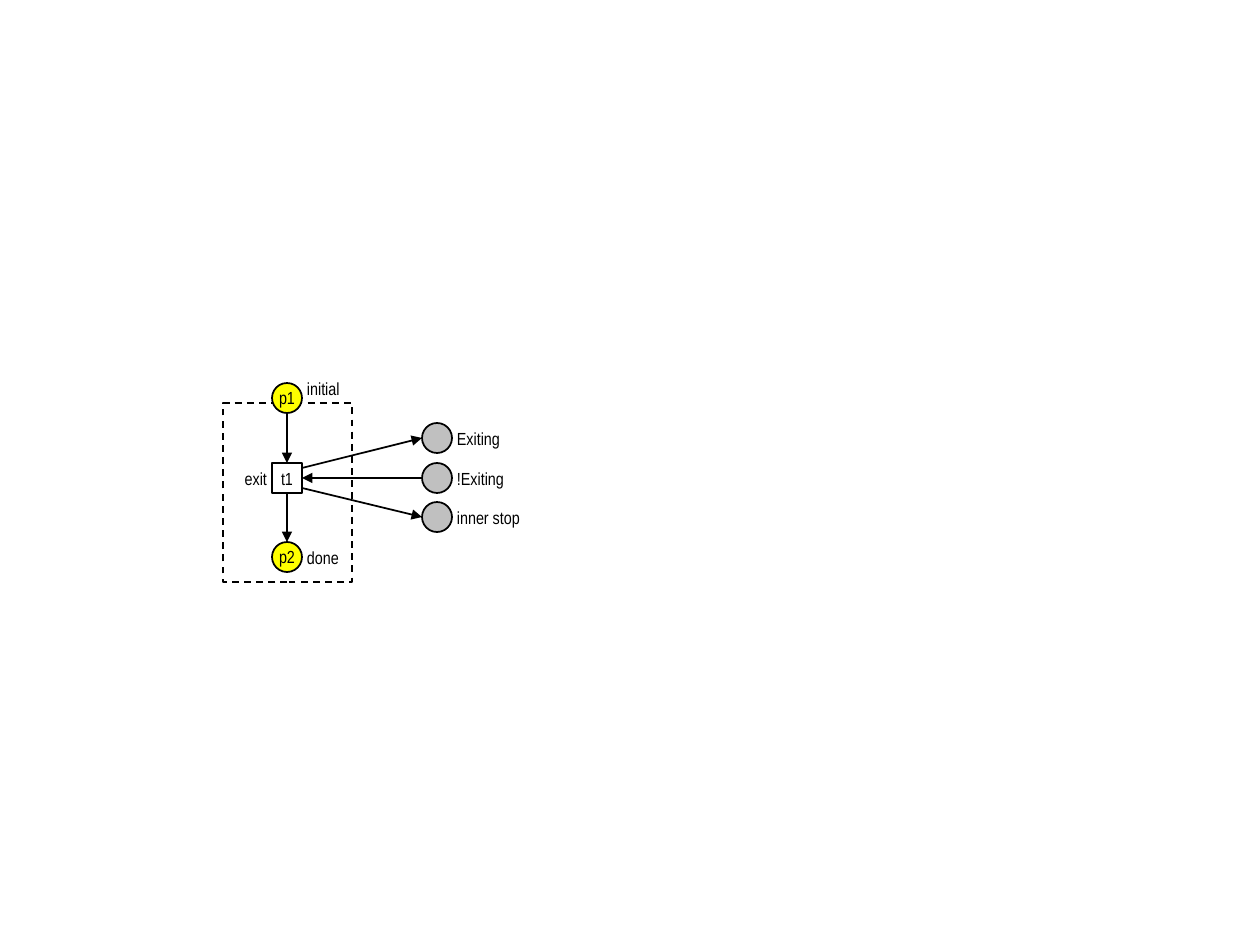
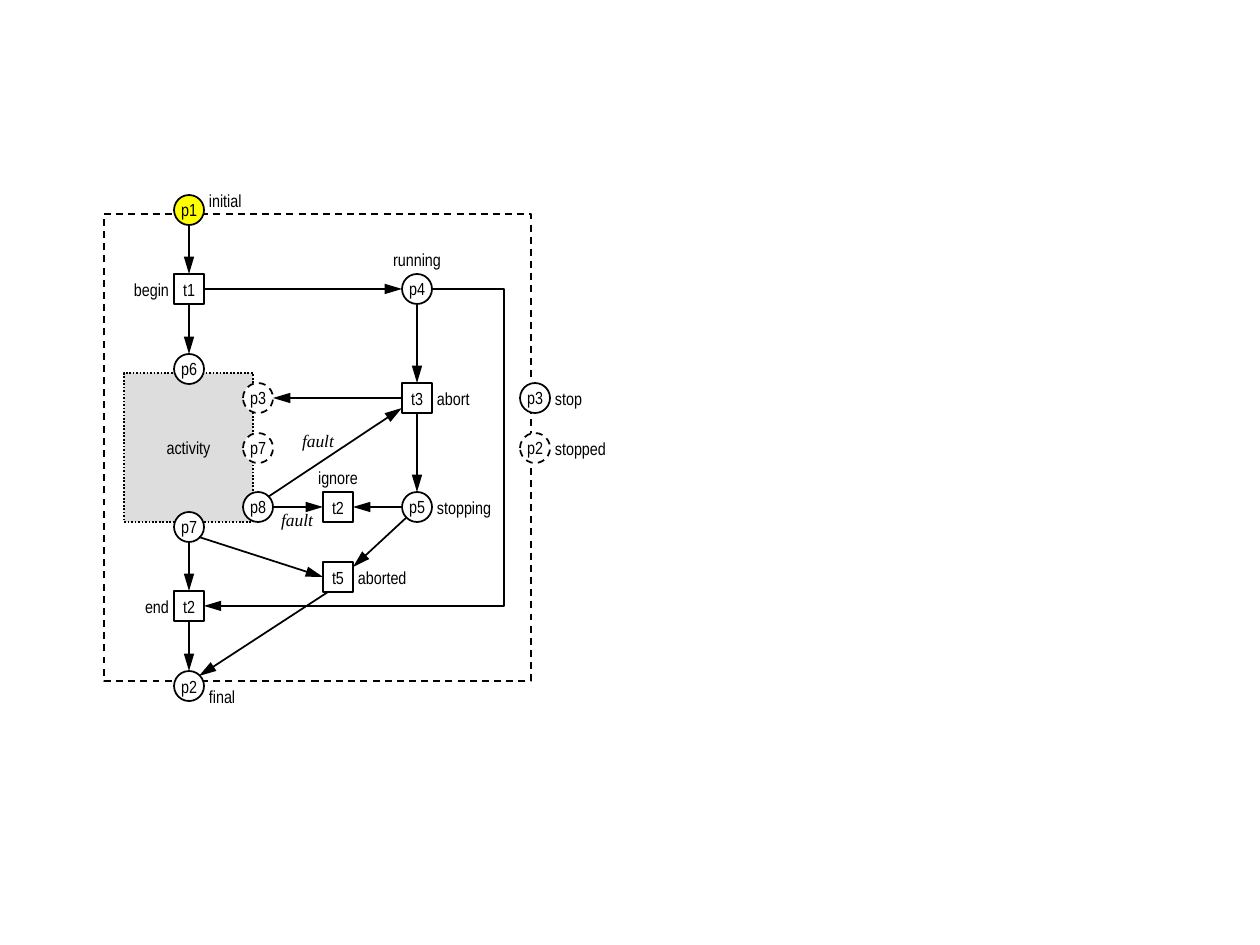
from dataclasses import dataclass

from lxml import etree
from pptx import Presentation
from pptx import util as u
from pptx.dml.color import RGBColor
from pptx.enum import dml, shapes, text
from pptx.oxml import ns

PX = 914400 / 126
NODE = 30
HALF = NODE // 2
LABEL_WIDTH = 39
LABEL_INSET = 5


@dataclass(frozen=True)
class Theme:
    ink: str = "000000"
    place: str = "FFFFFF"
    marked: str = "FFFF00"
    outer: str = "C0C0C0"
    activity: str = "DDDDDD"
    font: str = "Arial Narrow"
    condition_font: str = "Times New Roman"
    size: int = 10
    line: int = 1


THEME = Theme()
DASH = dml.MSO_LINE.DASH
DOT = dml.MSO_LINE.ROUND_DOT
RECT = shapes.MSO_SHAPE.RECTANGLE
OVAL = shapes.MSO_SHAPE.OVAL
LEFT, CENTER, RIGHT = text.PP_ALIGN.LEFT, text.PP_ALIGN.CENTER, text.PP_ALIGN.RIGHT

STYLES = {
    "place": (OVAL, THEME.place, None),
    "marked": (OVAL, THEME.marked, None),
    "outer": (OVAL, THEME.outer, None),
    "virtual": (OVAL, THEME.place, DASH),
    "transition": (RECT, THEME.place, None),
}
ANCHORS = {
    "top": (0, -HALF), "bottom": (0, HALF), "left": (-HALF, 0), "right": (HALF, 0),
    "north-east": (10, -10), "south-east": (10, 10), "south-west": (-10, 10),
    "right high": (HALF, -10), "right low": (HALF, 10),
    "left low": (-HALF, 10), "bottom left": (-10, HALF),
}
LABEL_SIDES = {
    "right": (HALF, -HALF, LABEL_WIDTH, LEFT),
    "upper right": (HALF, -HALF - 10, LABEL_WIDTH, LEFT),
    "lower right": (HALF, -HALF + 10, LABEL_WIDTH, LEFT),
    "left": (-HALF - LABEL_WIDTH, -HALF, LABEL_WIDTH, RIGHT),
    "above": (-HALF, -HALF - NODE, NODE, CENTER),
}

EXIT_X, OUTER_X = 287, 437
FLOW_X, PORT_X, FAULT_X, ABORT_X, STOP_X = 189, 258, 338, 417, 535

DIAGRAMS = [
    {
        "arrow_length": "med",
        "frames": [("", (223, 403, 129, 179), None, DASH)],
        "nodes": {
            "initial": ("p1", "marked", EXIT_X, 398, "initial", "upper right"),
            "exit": ("t1", "transition", EXIT_X, 478, "exit", "left"),
            "done": ("p2", "marked", EXIT_X, 557, "done", "right"),
            "exiting": ("", "outer", OUTER_X, 438, "Exiting", "right"),
            "not exiting": ("", "outer", OUTER_X, 478, "!Exiting", "right"),
            "inner stop": ("", "outer", OUTER_X, 517, "inner stop", "right"),
        },
        "arrows": [
            ("initial", "bottom", "exit", "top"),
            ("exit", "bottom", "done", "top"),
            ("exit", "right high", "exiting", "left"),
            ("not exiting", "left", "exit", "right"),
            ("exit", "right low", "inner stop", "left"),
        ],
        "elbows": [],
        "conditions": [],
    },
    {
        "arrow_length": "lg",
        "frames": [
            ("", (104, 214, 427, 467), None, DASH),
            ("activity", (124, 373, 129, 149), THEME.activity, DOT),
        ],
        "nodes": {
            "initial": ("p1", "marked", FLOW_X, 210, "initial", "upper right"),
            "begin": ("t1", "transition", FLOW_X, 289, "begin", "left"),
            "entry": ("p6", "place", FLOW_X, 369, "", ""),
            "leave": ("p7", "place", FLOW_X, 527, "", ""),
            "end": ("t2", "transition", FLOW_X, 606, "end", "left"),
            "final": ("p2", "place", FLOW_X, 686, "final", "lower right"),
            "inner stop": ("p3", "virtual", PORT_X, 398, "", ""),
            "inner stopped": ("p7", "virtual", PORT_X, 448, "", ""),
            "fault": ("p8", "place", PORT_X, 507, "", ""),
            "running": ("p4", "place", ABORT_X, 289, "running", "above"),
            "abort": ("t3", "transition", ABORT_X, 398, "abort", "right"),
            "stopping": ("p5", "place", ABORT_X, 507, "stopping", "right"),
            "ignore": ("t2", "transition", FAULT_X, 507, "ignore", "above"),
            "aborted": ("t5", "transition", FAULT_X, 577, "aborted", "right"),
            "stop": ("p3", "place", STOP_X, 398, "stop", "right"),
            "stopped": ("p2", "virtual", STOP_X, 448, "stopped", "right"),
        },
        "arrows": [
            ("initial", "bottom", "begin", "top"),
            ("begin", "bottom", "entry", "top"),
            ("begin", "right", "running", "left"),
            ("running", "bottom", "abort", "top"),
            ("abort", "bottom", "stopping", "top"),
            ("abort", "left", "inner stop", "right"),
            ("fault", "north-east", "abort", "left low"),
            ("fault", "right", "ignore", "left"),
            ("stopping", "left", "ignore", "right"),
            ("stopping", "south-west", "aborted", "right high"),
            ("leave", "south-east", "aborted", "left"),
            ("leave", "bottom", "end", "top"),
            ("end", "bottom", "final", "top"),
            ("aborted", "bottom left", "final", "north-east"),
        ],
        "elbows": [("running", "right", "end", "right", 504)],
        "conditions": [("fault", 302, 430), ("fault", 281, 509)],
    },
]


def emu(*lengths):
    return [u.Emu(round(length * PX)) for length in lengths]


def write(shape, words, align, font=THEME.font, italic=False):
    frame = shape.text_frame
    frame.word_wrap = False
    paragraph = frame.paragraphs[0]
    paragraph.alignment = align
    run = paragraph.add_run()
    run.text = words
    run.font.name = font
    run.font.size = u.Pt(THEME.size)
    run.font.italic = italic
    run.font.color.rgb = RGBColor.from_string(THEME.ink)


def set_line(line, dash=None):
    line.color.rgb = RGBColor.from_string(THEME.ink)
    line.width = u.Pt(THEME.line)
    if dash:
        line.dash_style = dash


def add_box(slide, kind, box, fill, dash, words):
    shape = slide.shapes.add_shape(kind, *emu(*box))
    shape.shadow.inherit = False
    if fill:
        shape.fill.solid()
        shape.fill.fore_color.rgb = RGBColor.from_string(fill)
    else:
        shape.fill.background()
    set_line(shape.line, dash)
    if words:
        shape.text_frame.vertical_anchor = text.MSO_ANCHOR.MIDDLE
        write(shape, words, CENTER)


def add_text(slide, box, words, align, inset=0, **style):
    shape = slide.shapes.add_textbox(*emu(*box))
    frame = shape.text_frame
    frame.margin_left = frame.margin_right = emu(inset)[0]
    frame.margin_top = frame.margin_bottom = 0
    write(shape, words, align, **style)
    return frame


def add_node(slide, words, style, x, y):
    kind, fill, dash = STYLES[style]
    add_box(slide, kind, (x - HALF, y - HALF, NODE, NODE), fill, dash, words)


def add_label(slide, x, y, words, side):
    dx, dy, width, align = LABEL_SIDES[side]
    frame = add_text(slide, (x + dx, y + dy, width, NODE), words, align, LABEL_INSET)
    frame.auto_size = text.MSO_AUTO_SIZE.NONE
    frame.vertical_anchor = text.MSO_ANCHOR.MIDDLE


def anchor_point(nodes, name, anchor):
    x, y = nodes[name][2:4]
    dx, dy = ANCHORS[anchor]
    return x + dx, y + dy


def add_arrow(slide, start, end, length, bend_x=None):
    kind = shapes.MSO_CONNECTOR.STRAIGHT if bend_x is None else shapes.MSO_CONNECTOR.ELBOW
    connector = slide.shapes.add_connector(kind, *emu(*start, *end))
    set_line(connector.line)
    properties = connector._element.spPr
    if bend_x is not None:
        share = (bend_x - start[0]) / (end[0] - start[0])
        guides = properties.find(ns.qn("a:prstGeom")).find(ns.qn("a:avLst"))
        etree.SubElement(guides, ns.qn("a:gd"), name="adj1", fmla=f"val {round(share * 100000)}")
    outline = properties.find(ns.qn("a:ln"))
    etree.SubElement(outline, ns.qn("a:tailEnd"), type="triangle", w="med", len=length)
    etree.SubElement(properties, ns.qn("a:effectLst"))


def draw(slide, diagram):
    nodes, length = diagram["nodes"], diagram["arrow_length"]
    for words, box, fill, dash in diagram["frames"]:
        add_box(slide, RECT, box, fill, dash, words)
    for words, style, x, y, _, _ in nodes.values():
        add_node(slide, words, style, x, y)
    straight = [(*arrow, None) for arrow in diagram["arrows"]]
    for source, leaving, target, entering, bend_x in straight + diagram["elbows"]:
        start = anchor_point(nodes, source, leaving)
        end = anchor_point(nodes, target, entering)
        add_arrow(slide, start, end, length, bend_x)
    for _, _, x, y, label, side in nodes.values():
        if label:
            add_label(slide, x, y, label, side)
    for words, x, y in diagram["conditions"]:
        frame = add_text(slide, (x, y, 32, 21), words, LEFT,
                         font=THEME.condition_font, italic=True)
        frame.auto_size = text.MSO_AUTO_SIZE.SHAPE_TO_FIT_TEXT


def main():
    presentation = Presentation()
    presentation.slide_width, presentation.slide_height = emu(1260, 945)
    for diagram in DIAGRAMS:
        draw(presentation.slides.add_slide(presentation.slide_layouts[6]), diagram)
    presentation.save("out.pptx")


if __name__ == "__main__":
    main()
